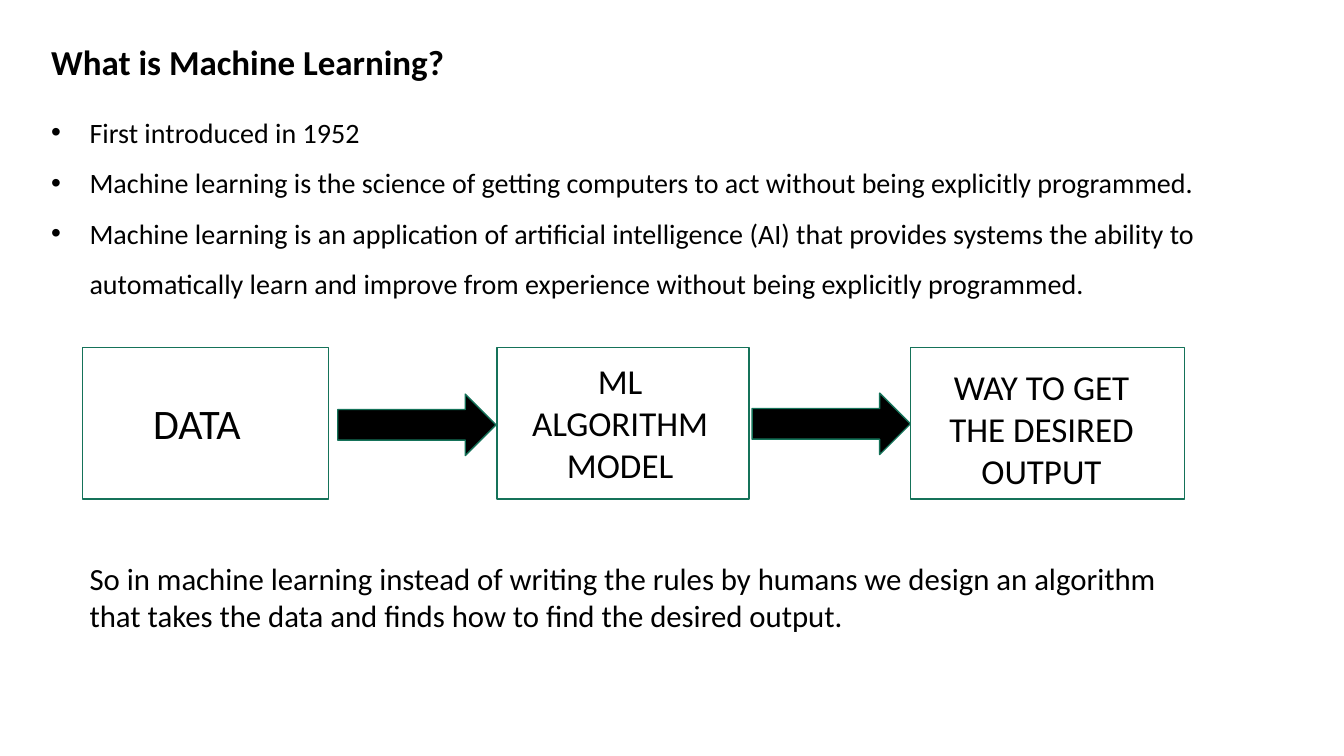
from lxml.etree import SubElement
from pptx import Presentation
from pptx.dml.color import RGBColor
from pptx.enum.shapes import MSO_SHAPE
from pptx.enum.text import PP_ALIGN
from pptx.oxml.ns import qn
from pptx.util import Inches, Pt

BLACK = RGBColor(0x00, 0x00, 0x00)
WHITE = RGBColor(0xFF, 0xFF, 0xFF)
GREEN = RGBColor(0x15, 0x72, 0x59)
FONT = "Calibri"

TITLE = "What is Machine Learning?"
POINTS = [
    "First introduced in 1952",
    "Machine learning is the science of getting computers to act without "
    "being explicitly programmed.",
    "Machine learning is an application of artificial intelligence (AI) that "
    "provides systems the ability to automatically learn and improve from "
    "experience without being explicitly programmed.",
]
CLOSING = (
    "So in machine learning instead of writing the rules by humans we design "
    "an algorithm that takes the data and finds how to find the desired output."
)
MODEL = ["ML", "ALGORITHM", "MODEL"]
OUTPUT = ["WAY TO GET THE DESIRED OUTPUT"]


def add_bullet(para, indent=0.38):
    """Give a paragraph a hanging round bullet."""
    props = para._p.get_or_add_pPr()
    props.set("marL", str(Inches(indent)))
    props.set("indent", str(-Inches(indent)))
    SubElement(props, qn("a:buFont"), typeface="Arial")
    SubElement(props, qn("a:buChar"), char="•")


def add_text(slide, lines, place, size, bold=False, align=PP_ALIGN.LEFT,
             spacing=None, bullet=False):
    """Add a text box with one paragraph for each line."""
    box = slide.shapes.add_textbox(*map(Inches, place))
    frame = box.text_frame
    frame.word_wrap = True
    for index, line in enumerate(lines):
        para = frame.paragraphs[0] if index == 0 else frame.add_paragraph()
        para.alignment = align
        if spacing:
            para.line_spacing = spacing
        if bullet:
            add_bullet(para)
        run = para.add_run()
        run.text = line
        run.font.name = FONT
        run.font.size = Pt(size)
        run.font.bold = bold
        run.font.color.rgb = BLACK


def add_block(slide, kind, place, fill):
    """Add a filled shape with a thin green outline."""
    shape = slide.shapes.add_shape(kind, *map(Inches, place))
    shape.shadow.inherit = False
    shape.fill.solid()
    shape.fill.fore_color.rgb = fill
    shape.line.color.rgb = GREEN
    shape.line.width = Pt(1)


def add_flow(slide):
    """Draw the three stages and the arrows that join them."""
    for left, width in [(0.82, 2.44), (4.93, 2.5), (9.03, 2.72)]:
        add_block(slide, MSO_SHAPE.RECTANGLE, (left, 3.45, width, 1.5), WHITE)
    for left, top in [(3.35, 3.91), (7.46, 3.9)]:
        add_block(slide, MSO_SHAPE.RIGHT_ARROW, (left, top, 1.57, 0.61), BLACK)
    add_text(slide, ["DATA"], (1.42, 3.89, 2.56, 0.61), 30)
    add_text(slide, MODEL, (5.04, 3.52, 2.22, 1.36), 25, align=PP_ALIGN.CENTER)
    add_text(slide, OUTPUT, (9.11, 3.58, 2.44, 1.36), 25, align=PP_ALIGN.CENTER)


def main():
    """Build the slide and save it."""
    deck = Presentation()
    deck.slide_width = Inches(13.33)
    deck.slide_height = Inches(7.5)
    slide = deck.slides.add_slide(deck.slide_layouts[6])
    add_text(slide, [TITLE], (0.41, 0.35, 4.76, 0.52), 25, bold=True)
    add_text(slide, POINTS, (0.41, 0.93, 11.54, 2.12), 20,
             align=PP_ALIGN.JUSTIFY, spacing=1.5, bullet=True)
    add_flow(slide)
    add_text(slide, [CLOSING], (0.79, 5.5, 11.16, 0.84), 22)
    deck.save("out.pptx")


if __name__ == "__main__":
    main()
